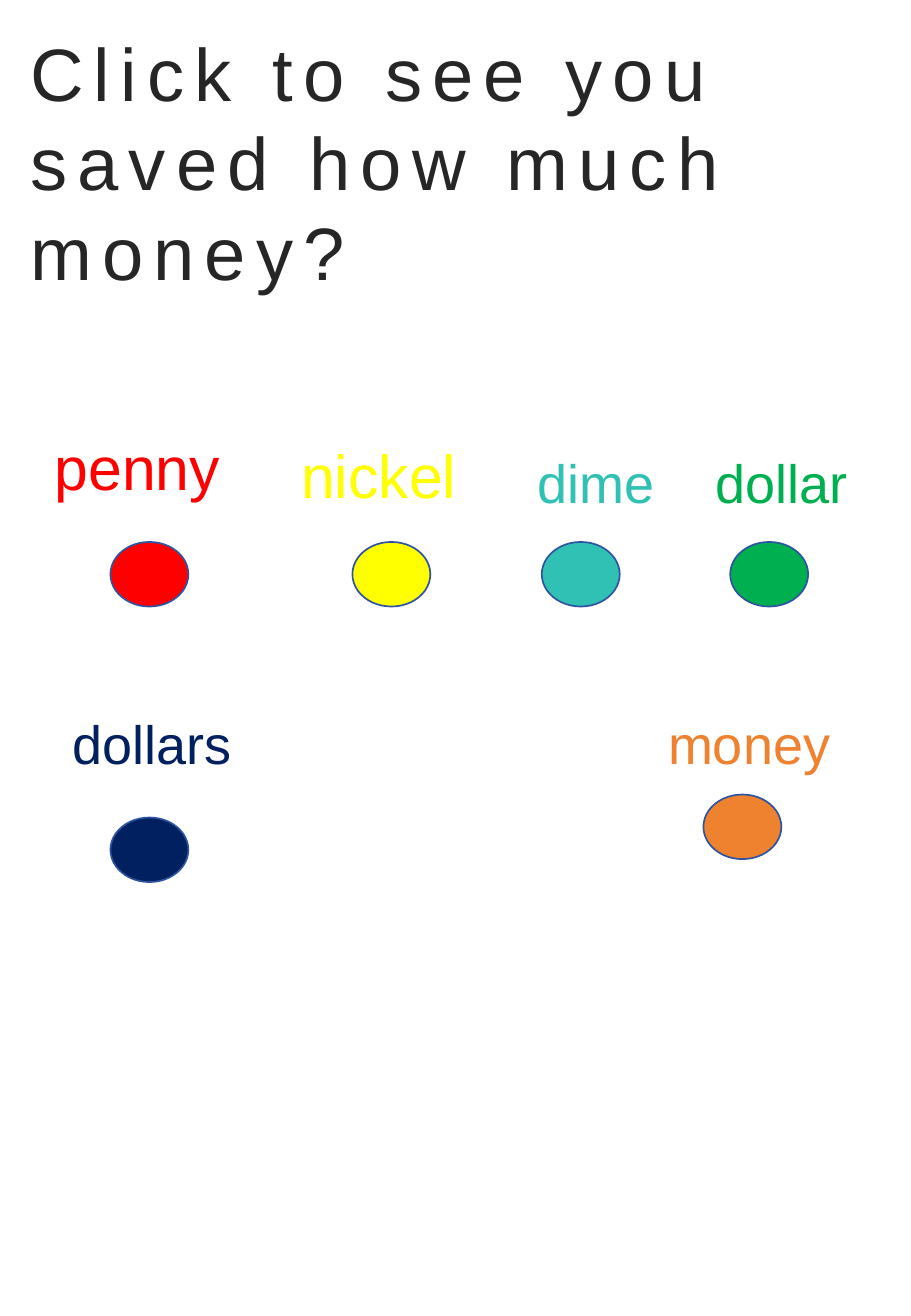
from pptx import Presentation
from pptx.dml.color import RGBColor
from pptx.enum.shapes import MSO_SHAPE
from pptx.enum.text import MSO_ANCHOR, MSO_AUTO_SIZE, PP_ALIGN
from pptx.util import Cm, Pt

INK = RGBColor(0x26, 0x26, 0x26)
OUTLINE = RGBColor(0x2E, 0x54, 0xA1)
RED = RGBColor(0xFF, 0x00, 0x00)
YELLOW = RGBColor(0xFF, 0xFF, 0x00)
TEAL = RGBColor(0x30, 0xC0, 0xB4)
GREEN = RGBColor(0x00, 0xB0, 0x50)
NAVY = RGBColor(0x00, 0x20, 0x60)
ORANGE = RGBColor(0xEE, 0x82, 0x2F)

# word, colour, font size, label (left, top, width, height), button (left, top); cm
COINS = [
    ("penny", RED, 36, (0.89, 8.79, 4.47, 1.8), (2.31, 11.33)),
    ("nickel", YELLOW, 36, (6.05, 8.97, 4.24, 1.63), (7.37, 11.33)),
    ("dime", TEAL, 32, (11, 9.22, 4.42, 1.63), (11.33, 11.33)),
    ("dollar", GREEN, 32, (14.71, 9.22, 3.38, 1.63), (15.27, 11.33)),
    ("dollars", NAVY, 32, (1.27, 14.68, 5.03, 1.63), (2.31, 17.09)),
    ("money", ORANGE, 32, (13.72, 14.68, 5.33, 1.63), (14.71, 16.61)),
]
BUTTON_SIZE = (1.63, 1.35)


def set_text(tf, text, size, color, line_height):
    for name, value in {"word_wrap": True, "auto_size": MSO_AUTO_SIZE.NONE}.items():
        setattr(tf, name, value)
    p = tf.paragraphs[0]
    for name, value in {"alignment": PP_ALIGN.LEFT, "line_spacing": Pt(line_height)}.items():
        setattr(p, name, value)
    r = p.add_run()
    r.text = text
    for name, value in {"name": "Arial", "size": Pt(size), "bold": False}.items():
        setattr(r.font, name, value)
    r.font.color.rgb = color
    return r


def add_title(s, text):
    sp = s.shapes.title
    place = {"left": 0.38, "top": 0.89, "width": 18.34, "height": 4.95}
    for name, value in place.items():
        setattr(sp, name, Cm(value))
    sp.text_frame.vertical_anchor = MSO_ANCHOR.MIDDLE
    r = set_text(sp.text_frame, text, 44, INK, 53)
    r.font._element.set("spc", "600")


def add_label(s, word, color, size, box):
    sp = s.shapes.add_textbox(*map(Cm, box))
    set_text(sp.text_frame, word, size, color, 1.25 * size)


def add_button(s, color, corner):
    sp = s.shapes.add_shape(MSO_SHAPE.OVAL, *map(Cm, corner + BUTTON_SIZE))
    sp.shadow.inherit = False
    sp.fill.solid()
    sp.fill.fore_color.rgb = color
    sp.line.color.rgb = OUTLINE
    sp.line.width = Pt(1)


def main():
    prs = Presentation()
    prs.slide_width, prs.slide_height = Cm(19.05), Cm(27.51)
    s = prs.slides.add_slide(prs.slide_layouts[5])
    add_title(s, "Click to see you saved how much money?")
    for word, color, size, box, corner in COINS:
        add_label(s, word, color, size, box)
        add_button(s, color, corner)
    prs.save("out.pptx")


if __name__ == "__main__":
    main()
